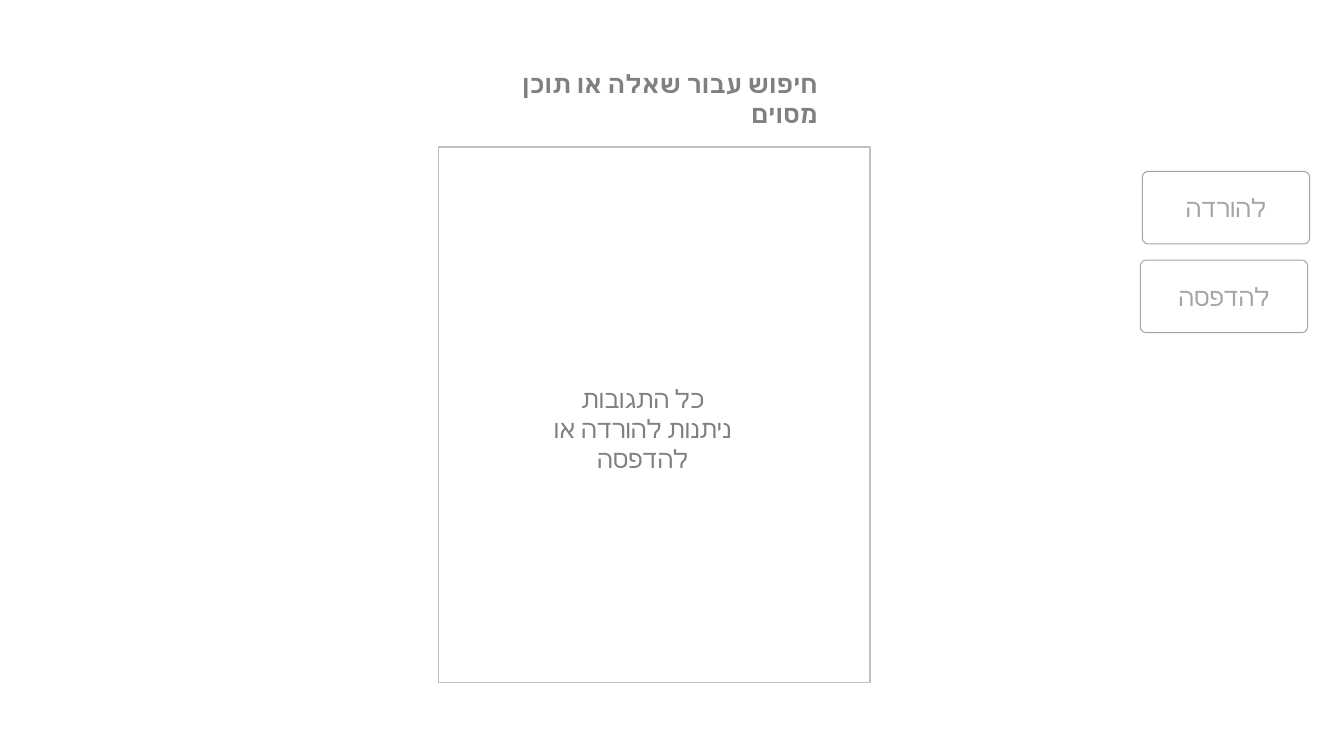
from dataclasses import dataclass

from lxml.etree import SubElement
from pptx import Presentation
from pptx.dml.color import RGBColor as RGB
from pptx.enum.shapes import MSO_SHAPE as Shape
from pptx.enum.text import MSO_ANCHOR as Anchor, MSO_AUTO_SIZE as AutoSize, PP_ALIGN as Align
from pptx.oxml.ns import qn
from pptx.util import Inches, Pt


@dataclass(frozen=True)
class Theme:
    font: str = "Calibri"
    size: int = 18
    text: str = "808080"
    button: str = "A5A5A5"
    frame: str = "BFBFBF"


class SlideBuilder:
    def __init__(self, slide, theme):
        self.slide = slide
        self.theme = theme

    def add_lines(self, tf, lines, color, align, bold=None):
        for i, line in enumerate(lines):
            p = tf.add_paragraph() if i else tf.paragraphs[0]
            p.alignment = align
            p._p.get_or_add_pPr().set("rtl", "1")
            r = p.add_run()
            r.text = line
            r.font.name = self.theme.font
            r.font.size = Pt(self.theme.size)
            r.font.bold = bold
            r.font.color.rgb = RGB.from_string(color)
            SubElement(r._r.get_or_add_rPr(), qn("a:cs"), typeface=self.theme.font)

    def panel(self, x, y, w, h, color, line_width, corner=0):
        s = self.slide.shapes.add_shape(
            Shape.ROUNDED_RECTANGLE, Inches(x), Inches(y), Inches(w), Inches(h))
        s.adjustments[0] = corner
        s.shadow.inherit = False
        s.fill.background()
        s.line.color.rgb = RGB.from_string(color)
        s.line.width = Pt(line_width)
        return s

    def button(self, x, y, label):
        color = self.theme.button
        s = self.panel(x, y, 1.66, 0.72, color, 0.75, corner=0.08)
        s.text_frame.vertical_anchor = Anchor.MIDDLE
        self.add_lines(s.text_frame, [label], color, Align.CENTER)

    def text(self, x, y, w, h, lines, align, wrap=True, bold=None):
        s = self.slide.shapes.add_textbox(Inches(x), Inches(y), Inches(w), Inches(h))
        tf = s.text_frame
        tf.word_wrap = wrap
        tf.auto_size = AutoSize.SHAPE_TO_FIT_TEXT
        self.add_lines(tf, lines, self.theme.text, align, bold)


def main():
    prs = Presentation()
    prs.slide_width, prs.slide_height = Inches(13.33), Inches(7.5)
    theme = Theme()
    page = SlideBuilder(prs.slides.add_slide(prs.slide_layouts[6]), theme)

    page.button(11.33, 1.7, "להורדה")
    page.button(11.31, 2.58, "להדפסה")
    page.text(4.69, 0.63, 3.52, 0.4, ["חיפוש עבור שאלה או תוכן מסוים"],
              Align.RIGHT, wrap=False, bold=True)
    page.panel(4.35, 1.46, 4.28, 5.31, theme.frame, 1)
    page.text(5.33, 3.75, 2.09, 1.01, ["כל התגובות", "ניתנות להורדה או להדפסה"],
              Align.CENTER)
    prs.save("out.pptx")


if __name__ == "__main__":
    main()
